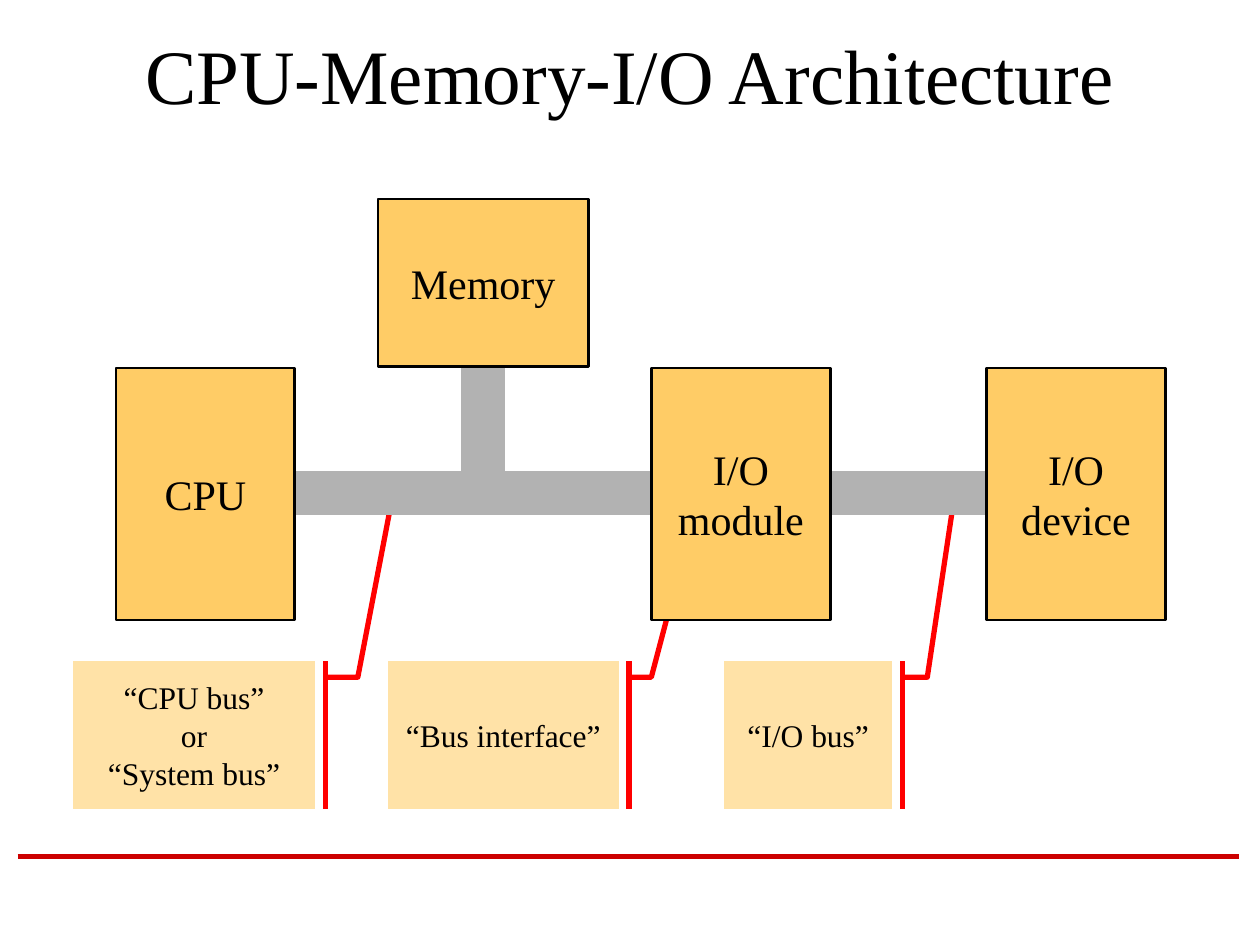
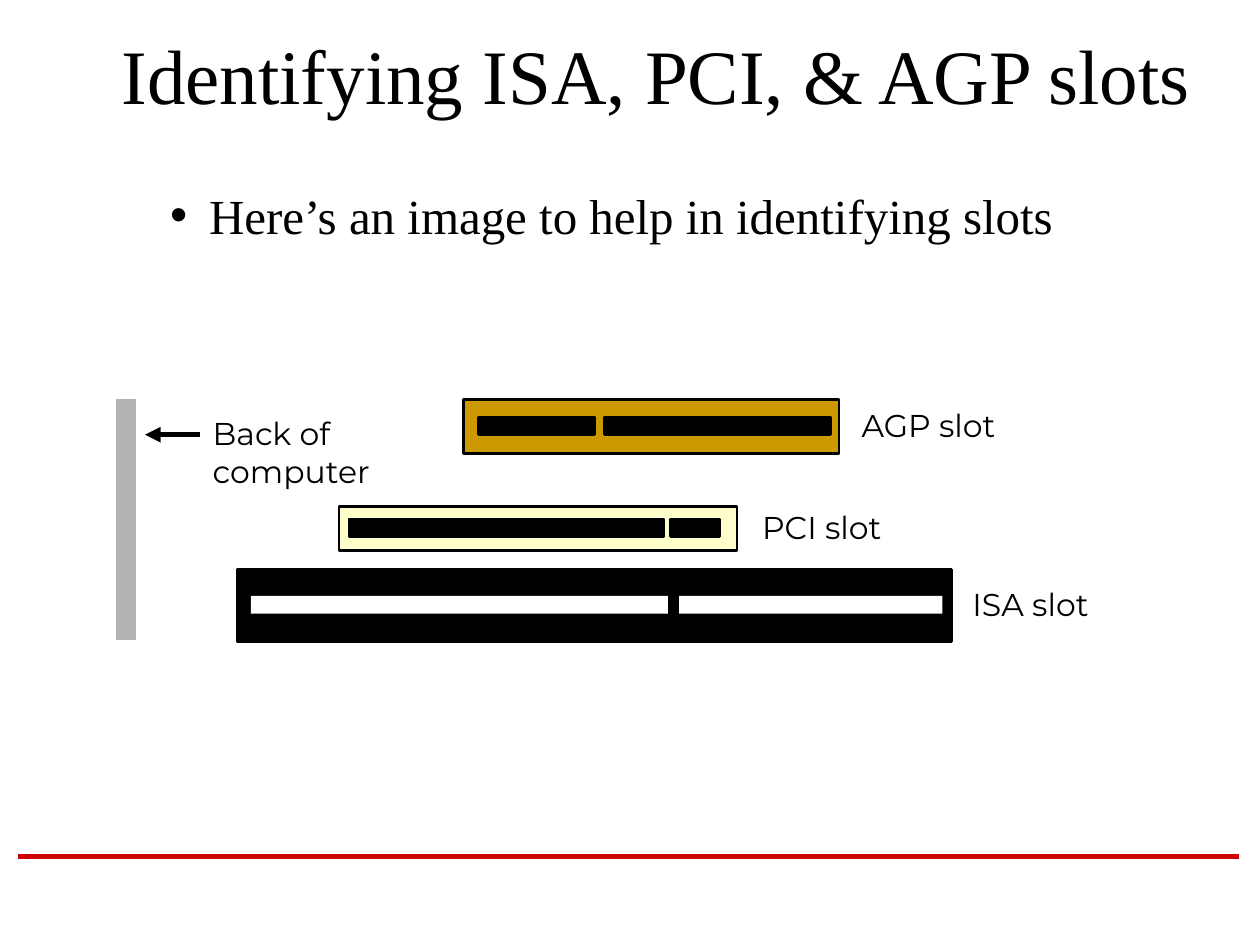
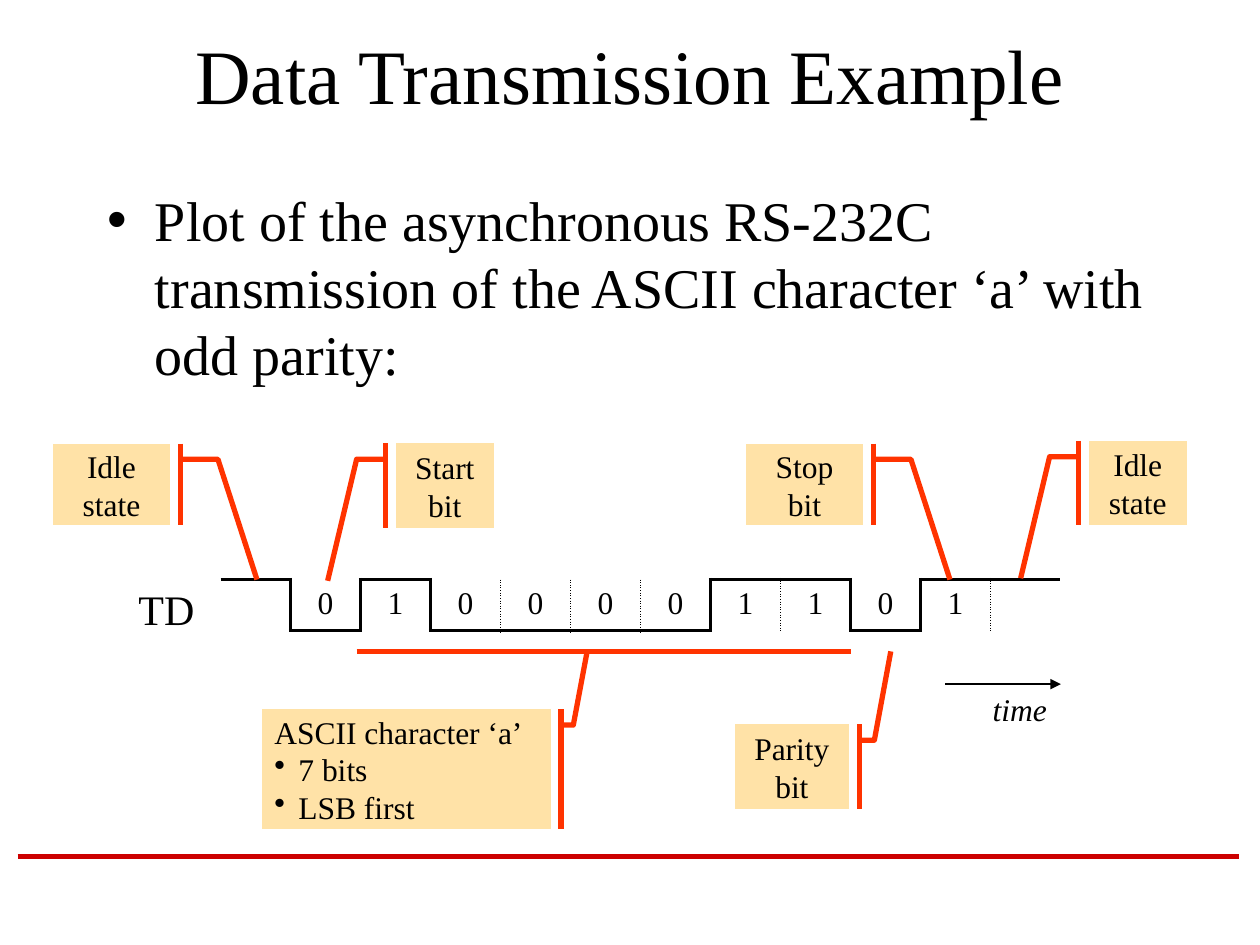
from lxml import etree
from pptx import Presentation
from pptx import util as u
from pptx.dml import color
from pptx.enum import shapes as kinds
from pptx.enum import text as txt
from pptx.oxml import ns

COLORS = {
    "ink": "000000", "paper": "FFFFFF", "rule": "CC0000",
    "block": "FFCC66", "note": "FFE2A7", "bus": "B2B2B2",
    "red": "FF0000", "orange": "FF3300",
    "agp": "CC9900", "pci": "FFFFCC",
}
SERIF, SANS = "Times New Roman", "Montserrat"
CENTER = txt.PP_ALIGN.CENTER
TITLE_ONLY, TITLE_AND_BODY = 5, 1


def rgb(name):
    return color.RGBColor.from_string(COLORS[name])


def sub(parent, tag, **attributes):
    return etree.SubElement(parent, ns.qn(tag), **attributes)


def write(frame, *paragraphs, size=18, font=SERIF, align=None, italic=False,
          anchor=None, wrap=True, level=0, hang=0, margin=0, bullets_from=None):
    """Fill a text frame; paragraphs from index bullets_from on get a bullet."""
    frame.word_wrap = wrap
    frame.auto_size = txt.MSO_AUTO_SIZE.NONE
    if anchor is not None:
        frame.vertical_anchor = anchor
    for index, words in enumerate(paragraphs):
        paragraph = frame.paragraphs[0] if index == 0 else frame.add_paragraph()
        paragraph.text = words
        paragraph.level = level
        paragraph.space_before = u.Pt(0)
        if align is not None:
            paragraph.alignment = align
        if hang:
            properties = paragraph._p.get_or_add_pPr()
            properties.set("marL", str(u.Inches(margin or hang)))
            properties.set("indent", str(-u.Inches(hang)))
            if bullets_from is not None and index >= bullets_from:
                sub(properties, "a:buChar", char="•")
        for run in paragraph.runs:
            run.font.name, run.font.size = font, u.Pt(size)
            run.font.bold, run.font.italic = False, italic
            run.font.color.rgb = rgb("ink")


class Deck:
    """Holds the shared style and the slide being built."""

    def __init__(self):
        self.show = Presentation()
        self.show.slide_width, self.show.slide_height = u.Inches(10), u.Inches(7.5)
        self.slide = None

    def new_slide(self, title, layout, title_width=8.5):
        self.slide = self.show.slides.add_slide(self.show.slide_layouts[layout])
        self.line((0.14, 6.8), (9.83, 6.8), "rule", 3)
        self.place(self.slide.shapes.title, 0.75, 0.17, title_width, 0.83)
        write(self.slide.shapes.title.text_frame, title, size=44, align=CENTER,
              anchor=txt.MSO_ANCHOR.MIDDLE)

    def place(self, shape, left, top, width, height):
        shape.left, shape.top = u.Inches(left), u.Inches(top)
        shape.width, shape.height = u.Inches(width), u.Inches(height)

    def body(self, words, **style):
        holder = self.slide.placeholders[1]
        self.place(holder, 0.75, 1.42, 8.5, 4.5)
        write(holder.text_frame, words, bullets_from=0, **style)

    def shape(self, kind, box, fill, outline=None, weight=1.5):
        shape = self.slide.shapes.add_shape(kind, *map(u.Inches, box))
        shape.shadow.inherit = False
        shape.fill.solid()
        shape.fill.fore_color.rgb = rgb(fill)
        if outline:
            shape.line.color.rgb = rgb(outline)
            shape.line.width = u.Pt(weight)
        else:
            shape.line.fill.background()
        return shape

    def rect(self, box, fill, outline=None, label=None):
        rect = self.shape(kinds.MSO_SHAPE.RECTANGLE, box, fill, outline)
        if label:
            write(rect.text_frame, label, size=24, align=CENTER,
                  anchor=txt.MSO_ANCHOR.MIDDLE)

    def callout(self, box, elbow, tip, line_color, *paragraphs, **style):
        """Note with an accent bar and a leader through elbow (x) to tip (x, y)."""
        left, top, width, height = box
        callout = self.shape(kinds.MSO_SHAPE.LINE_CALLOUT_2_ACCENT_BAR, box,
                             "note", line_color, 3)
        bar = left + width + 0.083 if elbow > left else left - 0.083
        leader = (bar, top + 0.125), (elbow, top + 0.125), tip
        for point, (x, y) in enumerate(leader):
            callout.adjustments[2 * point] = (y - top) / height
            callout.adjustments[2 * point + 1] = (x - left) / width
        write(callout.text_frame, *paragraphs, anchor=txt.MSO_ANCHOR.MIDDLE,
              **{"align": CENTER, **style})

    def line(self, start, end, line_color, weight, arrow=False):
        line = self.slide.shapes.add_connector(
            kinds.MSO_CONNECTOR.STRAIGHT, *map(u.Inches, (*start, *end)))
        line.line.color.rgb = rgb(line_color)
        line.line.width = u.Pt(weight)
        properties = line._element.spPr
        if arrow:
            sub(properties.find(ns.qn("a:ln")), "a:tailEnd", type="triangle")
        sub(properties, "a:effectLst")

    def label(self, box, words, **style):
        label = self.slide.shapes.add_textbox(*map(u.Inches, box))
        write(label.text_frame, words, **style)

    def border(self, cell, side, weight, dash="solid"):
        edge = sub(cell._tc.get_or_add_tcPr(), f"a:ln{side}", w=str(u.Pt(weight)))
        if weight:
            sub(sub(edge, "a:solidFill"), "a:srgbClr", val=COLORS["ink"])
            sub(edge, "a:prstDash", val=dash)
        else:
            sub(edge, "a:noFill")

    def waveform(self, box, levels, labels):
        """One-row table whose borders trace the signal levels."""
        table = self.slide.shapes.add_table(
            1, len(levels), *map(u.Inches, box)).table
        table.first_row = table.horz_banding = False
        solid, dotted, none = (2.25, "solid"), (1, "sysDot"), (0, "solid")

        def between(a, b):
            if a < 0 or b >= len(levels):
                return none
            return dotted if levels[a] == levels[b] else solid

        for i, level in enumerate(levels):
            table.columns[i].width = u.Inches(box[2] / len(levels))
            cell = table.cell(0, i)
            if labels[i]:
                write(cell.text_frame, labels[i], align=CENTER)
            high = level == "1"
            self.border(cell, "L", *between(i - 1, i))
            self.border(cell, "R", *between(i, i + 1))
            self.border(cell, "T", *(solid if high else none))
            self.border(cell, "B", *(none if high else solid))
            cell.fill.background()


def architecture(deck):
    deck.new_slide("CPU-Memory-I/O Architecture", TITLE_ONLY)

    # Notes, behind the diagram
    for left, width, elbow, tip, words in (
            (5.75, 1.33, 7.36, (7.56, 4.04), ["“I/O bus”"]),
            (3.08, 1.83, 5.17, (5.34, 4.73), ["“Bus interface”"]),
            (0.58, 1.92, 2.84, (3.1, 4.02), ["“CPU bus”", "or", "“System bus”"])):
        deck.callout((left, 5.25, width, 1.17), elbow, tip, "red", *words)

    # Buses, then the units they join
    for bus in ((3.67, 2.92, 0.33, 1), (2, 3.75, 6.25, 0.33)):
        deck.rect(bus, "bus", "bus")
    for left, unit in ((0.92, "CPU"), (5.17, "I/O module"), (7.83, "I/O device")):
        deck.rect((left, 2.92, 1.42, 2), "block", "ink", unit)
    deck.rect((3, 1.58, 1.67, 1.33), "block", "ink", "Memory")


def slots(deck):
    deck.new_slide("Identifying ISA, PCI, & AGP slots", TITLE_AND_BODY, 8.92)
    deck.body("Here’s an image to help in identifying slots",
              size=28, level=1, margin=0.81, hang=0.31)

    # Each slot: housing, two contact strips as (left, width), label
    for name, housing, fill, strip_fill, strip_line, strip_top, strips, at in (
            ("AGP slot", (3.68, 3.17, 2.98, 0.43), "agp", "ink", "ink",
             3.31, ((3.8, 0.92), (4.8, 1.79)), (6.74, 3.17)),
            ("PCI slot", (2.69, 4.02, 3.16, 0.35), "pci", "ink", "ink",
             4.12, ((2.77, 2.5), (5.32, 0.39)), (5.95, 3.98)),
            ("ISA slot", (1.88, 4.52, 5.67, 0.57), "ink", "paper", None,
             4.73, ((1.99, 3.31), (5.39, 2.09)), (7.62, 4.59))):
        deck.rect(housing, fill, "ink")
        for left, width in strips:
            deck.rect((left, strip_top, width, 0.14), strip_fill, strip_line)
        deck.label((*at, 1.7, 0.4), name, font=SANS)

    # Back panel
    deck.line((1, 3.17), (1, 5.08), "bus", 12)
    deck.label((1.59, 3.24, 2.06, 0.7), "Back of\ncomputer", font=SANS)
    deck.line((1.59, 3.45), (1.15, 3.45), "ink", 3, arrow=True)


def transmission(deck):
    deck.new_slide("Data Transmission Example", TITLE_AND_BODY)
    deck.body("Plot of the asynchronous RS-232C transmission of the ASCII "
              "character ‘a’ with odd parity:", size=32, hang=0.38)

    # Signal: idle, ten bits, idle
    bits = "0100001101"
    deck.waveform((1.75, 4.6, 6.67, 0.4), f"1{bits}1", ["", *bits, ""])
    deck.label((1, 4.58, 0.65, 0.5), "TD", size=24, wrap=False)
    deck.line((7.5, 5.43), (8.42, 5.43), "ink", 1.5, arrow=True)
    deck.label((7.78, 5.43, 0.63, 0.4), "time", italic=True, wrap=False)

    # Notes on the parts of the signal
    deck.line((2.83, 5.17), (6.75, 5.17), "orange", 3)
    for box, elbow, tip, words in (
            ((0.42, 3.52, 0.93, 0.65), 1.73, (2.04, 4.6), "Idle\nstate"),
            ((5.92, 3.52, 0.93, 0.65), 7.23, (7.54, 4.6), "Stop\nbit"),
            ((3.14, 3.52, 0.78, 0.67), 2.83, (2.6, 4.61), "Start\nbit"),
            ((8.64, 3.5, 0.78, 0.67), 8.33, (8.1, 4.59), "Idle\nstate"),
            ((5.83, 5.75, 0.91, 0.67), 6.94, (7.07, 5.17), "Parity\nbit")):
        deck.callout(box, elbow, tip, "orange", words)
    deck.callout((2.08, 5.63, 2.29, 0.95), 4.55, (4.66, 5.17), "orange",
                 "ASCII character ‘a’", "7 bits", "LSB first",
                 align=txt.PP_ALIGN.LEFT, hang=0.19, bullets_from=1)


def main():
    deck = Deck()
    architecture(deck)
    slots(deck)
    transmission(deck)
    deck.show.save("out.pptx")


if __name__ == "__main__":
    main()
